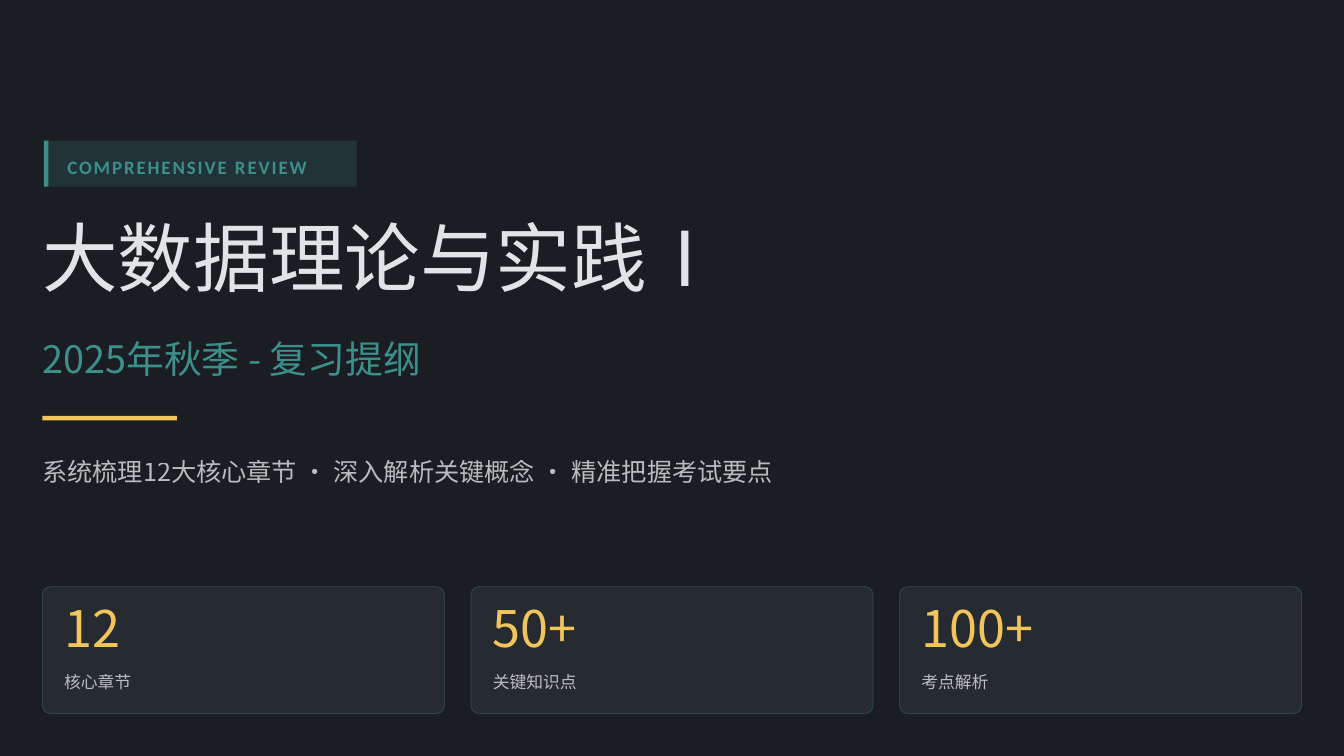
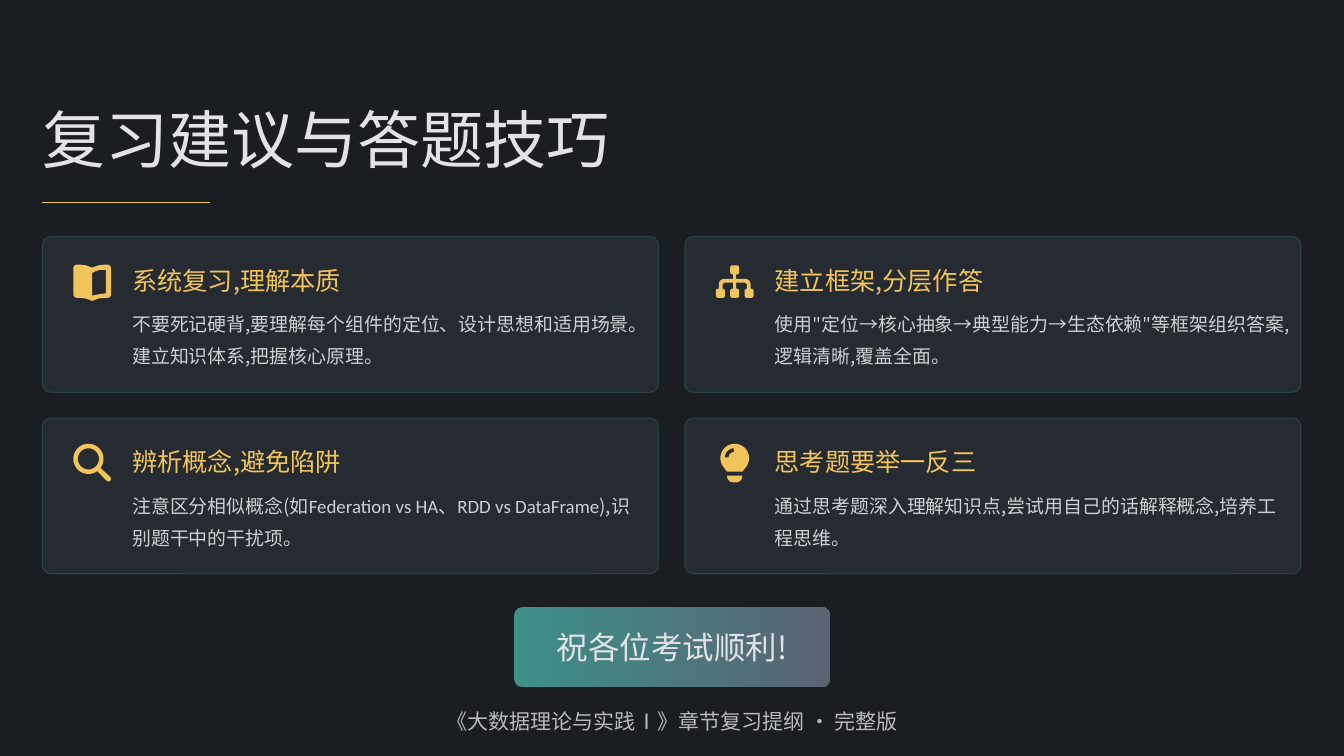
from math import cos, radians, sin

from lxml import etree
from pptx import Presentation
from pptx.dml.color import RGBColor
from pptx.enum.shapes import MSO_CONNECTOR, MSO_SHAPE
from pptx.enum.text import MSO_ANCHOR, PP_ALIGN
from pptx.oxml.ns import qn
from pptx.util import Inches, Pt

RECT, ROUNDED = MSO_SHAPE.RECTANGLE, MSO_SHAPE.ROUNDED_RECTANGLE
STRAIGHT = MSO_CONNECTOR.STRAIGHT
MIDDLE = MSO_ANCHOR.MIDDLE
LEFT, CENTER = PP_ALIGN.LEFT, PP_ALIGN.CENTER

COLORS = {"night": "1A1D21", "teal": "3D8F8A", "slate": "5A6472",
          "gold": "F2C55C", "mist": "E1E3E6"}
HAN, LATIN = "Noto Sans CJK SC", "Calibri"
MARGIN = 0.56
CORNER = 0.11


def rgb(name):
    return RGBColor.from_string(COLORS[name])


def fade(element, percent):
    """Make every colour inside the element partly transparent."""
    if percent < 100:
        for color in element.iter(qn("a:srgbClr")):
            etree.SubElement(color, qn("a:alpha"), val=str(percent * 1000))


class Deck:
    def __init__(self, width, height):
        self.prs = Presentation()
        self.prs.slide_width, self.prs.slide_height = Inches(width), Inches(height)
        self.slide = None

    def new_slide(self):
        self.slide = self.prs.slides.add_slide(self.prs.slide_layouts[6])
        background = self.slide.background.fill
        background.solid()
        background.fore_color.rgb = rgb("night")

    def paint(self, shape, color, opacity=100):
        shape.shadow.inherit = False
        shape.line.fill.background()
        shape.fill.solid()
        shape.fill.fore_color.rgb = rgb(color)
        fade(shape.element.spPr, opacity)

    def block(self, x, y, w, h, color, opacity=100, kind=RECT):
        shape = self.slide.shapes.add_shape(
            kind, Inches(x), Inches(y), Inches(w), Inches(h))
        if kind == ROUNDED:
            shape.adjustments[0] = CORNER / min(w, h)
        self.paint(shape, color, opacity)
        return shape

    def card(self, x, y, w, h):
        shape = self.block(x, y, w, h, "slate", 20, ROUNDED)
        shape.line.color.rgb = rgb("teal")
        shape.line.width = Pt(1)
        fade(shape.element.spPr.find(qn("a:ln")), 30)

    def button(self, x, y, w, h, start, end):
        fill = self.block(x, y, w, h, start, kind=ROUNDED).fill
        fill.gradient()
        fill.gradient_angle = 0
        for stop, color, position in zip(fill.gradient_stops, (start, end), (0, 1)):
            stop.color.rgb = rgb(color)
            stop.position = position

    def rule(self, x, y, w, color, points):
        line = self.slide.shapes.add_connector(
            STRAIGHT, Inches(x), Inches(y), Inches(x + w), Inches(y))
        line.line.color.rgb = rgb(color)
        line.line.width = Pt(points)
        etree.SubElement(line.element.spPr, qn("a:effectLst"))

    def icon(self, x, y, contours, color="gold"):
        placed = [[(Inches(x + px), Inches(y + py)) for px, py in contour]
                  for contour in contours]
        builder = self.slide.shapes.build_freeform(*placed[0][0])
        builder.add_line_segments(placed[0][1:], close=True)
        for contour in placed[1:]:
            builder.move_to(*contour[0])
            builder.add_line_segments(contour[1:], close=True)
        self.paint(builder.convert_to_shape(), color)

    def text(self, x, y, w, h, content, size, color="mist", opacity=100,
             spacing=None, align=LEFT, font=HAN, bold=None, tracking=0):
        """content is a string, or a list of (string, font) runs."""
        frame = self.slide.shapes.add_textbox(
            Inches(x), Inches(y), Inches(w), Inches(h)).text_frame
        frame.word_wrap = True
        frame.vertical_anchor = MIDDLE
        frame.margin_left = frame.margin_right = 0
        frame.margin_top = frame.margin_bottom = 0
        paragraph = frame.paragraphs[0]
        paragraph.alignment = align
        paragraph.line_spacing = spacing
        style = paragraph.font
        style.size, style.name, style.bold = Pt(size), font, bold
        style.color.rgb = rgb(color)
        properties = paragraph._p.pPr.find(qn("a:defRPr"))
        etree.SubElement(properties, qn("a:ea"), typeface=HAN)
        if tracking:
            properties.set("spc", str(round(tracking * 100)))
        fade(properties, opacity)
        runs = [(content, None)] if isinstance(content, str) else content
        for words, run_font in runs:
            run = paragraph.add_run()
            run.text = words
            if run_font:
                run.font.name = run_font


# Icon outlines, in inches inside a half-inch square
def arc(cx, cy, radius, start, end, steps=24):
    angles = [radians(start + (end - start) * i / steps) for i in range(steps + 1)]
    return [(cx + radius * cos(a), cy + radius * sin(a)) for a in angles]


def node(x, y, size=0.12, r=0.03):
    corners = [(x + size - r, y + size - r, 0), (x + r, y + size - r, 90),
               (x + r, y + r, 180), (x + size - r, y + r, 270)]
    return [p for cx, cy, a in corners for p in arc(cx, cy, r, a, a + 90, 6)]


def mirrored(right_half):
    return right_half + [(0.5 - x, y) for x, y in reversed(right_half)]


def book():
    cover = mirrored([(0.25, 0.07), (0.33, 0.04), (0.41, 0.03)]
                     + arc(0.45, 0.08, 0.05, 270, 360, 6)
                     + arc(0.45, 0.42, 0.05, 0, 90, 6)
                     + [(0.41, 0.47), (0.33, 0.48), (0.25, 0.51)])
    page = [(0.25, 0.14), (0.29, 0.12), (0.35, 0.1), (0.43, 0.1),
            (0.43, 0.41), (0.35, 0.42), (0.25, 0.44)]
    return [cover, page]


def tree():
    branches = mirrored([(0.27, 0.16), (0.27, 0.22)]
                        + arc(0.39, 0.29, 0.07, 270, 360, 8)
                        + [(0.46, 0.35), (0.41, 0.35), (0.41, 0.29), (0.39, 0.27),
                           (0.27, 0.27), (0.27, 0.35)])
    return [node(0.19, 0.04), branches] + [node(0.19 * i, 0.35) for i in range(3)]


def magnifier():
    handle = [(0.49, 0.44), (0.5, 0.47), (0.49, 0.49), (0.46, 0.5), (0.44, 0.49)]
    return [arc(0.2, 0.2, 0.2, 54, 397, 40) + handle, arc(0.2, 0.2, 0.14, 0, 360, 40)]


def bulb():
    glass = arc(0.25, 0.19, 0.19, 140, 400, 36) + [(0.35, 0.37), (0.15, 0.37)]
    base = mirrored([(0.35, 0.42)] + arc(0.27, 0.43, 0.08, 0, 90, 8))
    glint = arc(0.24, 0.18, 0.12, 180, 270, 10) + arc(0.24, 0.18, 0.07, 270, 180, 10)
    return [glass, base, glint]


def cover_slide(deck):
    deck.new_slide()

    # Tag
    deck.block(0.58, 1.86, 4.14, 0.61, "teal", 20)
    deck.block(0.58, 1.86, 0.06, 0.61, "teal")
    deck.text(0.89, 1.99, 3.68, 0.35, "COMPREHENSIVE REVIEW", 18, "teal",
              spacing=1.3, font=LATIN, bold=True, tracking=1.8)

    # Titles
    deck.text(MARGIN, 2.77, 17.17, 1.25, [("大数据理论与实践", None), ("Ⅰ", LATIN)], 72)
    deck.text(MARGIN, 4.5, 16.92, 0.56, "2025年秋季 - 复习提纲", 36, "teal", spacing=0.9)
    deck.block(MARGIN, 5.5, 1.78, 0.06, "gold")
    deck.text(MARGIN, 6, 16.83, 0.44,
              "系统梳理12大核心章节 · 深入解析关键概念 · 精准把握考试要点",
              24, opacity=80, spacing=1.1)

    # Key figures
    figures = [("12", "核心章节"), ("50+", "关键知识点"), ("100+", "考点解析")]
    for column, (figure, label) in enumerate(figures):
        x = MARGIN + column * 5.67
        deck.card(x, 7.76, 5.32, 1.68)
        deck.text(x + 0.29, 8.04, 5.08, 0.67, figure, 48, "gold", spacing=0.8)
        deck.text(x + 0.29, 8.82, 4.86, 0.33, label, 16, opacity=80, spacing=1.3)


def advice_slide(deck):
    deck.new_slide()

    # Title
    deck.text(MARGIN, 1.31, 17.08, 1.04, "复习建议与答题技巧", 60)
    deck.rule(MARGIN, 2.68, 2.22, "gold", 0.25)

    # Advice cards, two by two
    advice = [
        (book(), "系统复习,理解本质",
         "不要死记硬背,要理解每个组件的定位、设计思想和适用场景。建立知识体系,把握核心原理。"),
        (tree(), "建立框架,分层作答",
         "使用\"定位→核心抽象→典型能力→生态依赖\"等框架组织答案,逻辑清晰,覆盖全面。"),
        (magnifier(), "辨析概念,避免陷阱",
         [("注意区分相似概念(如", None), ("Federation vs HA、RDD vs DataFrame", LATIN),
          ("),识别题干中的干扰项。", None)]),
        (bulb(), "思考题要举一反三",
         "通过思考题深入理解知识点,尝试用自己的话解释概念,培养工程思维。"),
    ]
    for index, (outline, heading, tip) in enumerate(advice):
        row, column = divmod(index, 2)
        x, y = MARGIN + column * 8.5, 3.13 + row * 2.4
        deck.card(x, y, 8.15, 2.06)
        deck.icon(x + 0.41, y + 0.34, outline)
        deck.text(x + 1.19, y + 0.34, 6.79, 0.44, heading, 24, "gold", spacing=1.1)
        deck.text(x + 1.19, y + 0.9, 6.75, 0.82, tip, 18, opacity=90, spacing=1.4)

    # Closing wish
    deck.button(6.8, 8.03, 4.18, 1.06, "teal", "slate")
    deck.text(7.25, 8.31, 3.28, 0.5, "祝各位考试顺利!", 30, align=CENTER)
    deck.text(0.49, 9.31, 16.81, 0.39, "《大数据理论与实践Ⅰ》章节复习提纲 · 完整版",
              20, opacity=80, spacing=1.2, align=CENTER)


def main():
    deck = Deck(17.78, 10)
    cover_slide(deck)
    advice_slide(deck)
    deck.prs.save("out.pptx")


if __name__ == "__main__":
    main()
